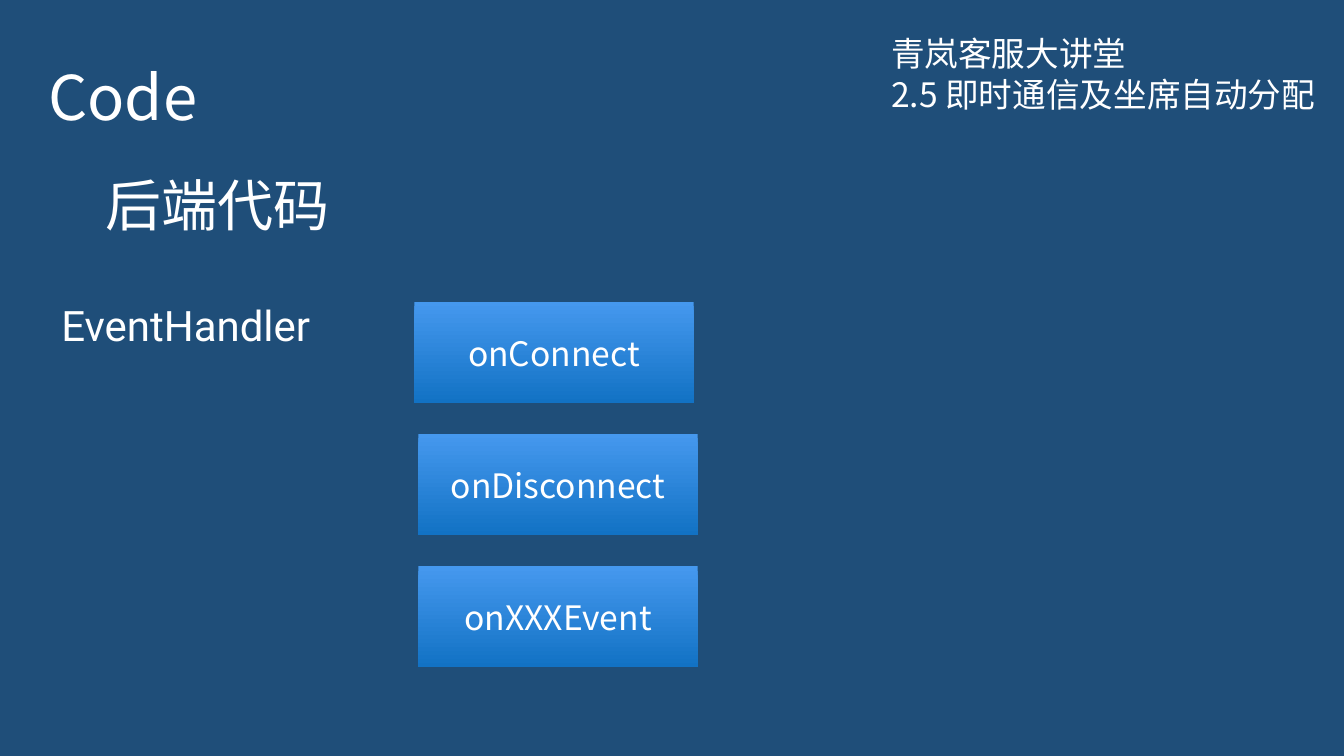
from pptx import Presentation
from pptx.dml.color import RGBColor as RGB
from pptx.enum.shapes import MSO_SHAPE as Shape
from pptx.enum.text import MSO_ANCHOR as Anchor, MSO_AUTO_SIZE as Fit, PP_ALIGN as Align
from pptx.oxml.ns import qn
from pptx.util import Inches, Pt

SANS = "Noto Sans CJK SC"
WHITE = "FFFFFF"


def color(hue):
    return RGB.from_string(hue)


def write(shape, text, size, face=SANS, frame=None, para=None):
    """Put one styled line of text in a shape."""
    body = shape.text_frame
    for key, val in {"word_wrap": True, **(frame or {})}.items():
        setattr(body, key, val)
    line = body.paragraphs[0]
    for key, val in (para or {}).items():
        setattr(line, key, val)
    run = line.add_run()
    run.text = text
    for key, val in {"size": Pt(size), "name": face}.items():
        setattr(run.font, key, val)
    run.font.color.rgb = color(WHITE)
    # East Asian glyphs use the same face
    props = run.font._element
    props.append(props.makeelement(qn("a:ea"), {"typeface": face}))


def label(slide, box, text, size, **style):
    area = slide.shapes.add_textbox(*map(Inches, box))
    write(area, text, size, **style)


def header(slide, left, top):
    """Course name and lesson in the top right corner, each on one line."""
    lines = (("青岚客服大讲堂", 2.56), ("2.5 即时通信及坐席自动分配", 4.48))
    for row, (text, width) in enumerate(lines):
        label(slide, (left, top + 0.4 * row, width, 0.5), text, 24,
              frame={"word_wrap": False, "auto_size": Fit.SHAPE_TO_FIT_TEXT})


def titles(slide, left, top):
    """Title, subtitle and the name of the handler."""
    middle = {"vertical_anchor": Anchor.MIDDLE}
    sides = ("left", "top", "right", "bottom")
    inset = {f"margin_{side}": Inches(0.05) for side in sides}
    label(slide, (left, top, 7.2, 1.45), "Code", 44,
          frame=middle, para={"line_spacing": 0.9})
    label(slide, (left + 0.62, top + 1.04, 4.49, 1.11), "后端代码", 40,
          frame={**inset, "auto_size": Fit.SHAPE_TO_FIT_TEXT},
          para={"line_spacing": 1.5})
    label(slide, (left + 0.13, top + 1.6, 11.76, 2.46), "EventHandler", 30,
          face="Roboto", frame=middle, para={"line_spacing": 1.5})


def card(slide, box, text):
    """Gradient block holding the name of one event."""
    block = slide.shapes.add_shape(Shape.RECTANGLE, *map(Inches, box))
    block.shadow.inherit = False
    block.line.fill.background()
    block.fill.gradient()
    block.fill.gradient_angle = 270
    for stop, hue, place in zip(block.fill.gradient_stops, ("4598EE", "1272C4"), (0, 1)):
        stop.color.rgb = color(hue)
        stop.position = place
    write(block, text, 24, frame={"vertical_anchor": Anchor.MIDDLE},
          para={"alignment": Align.CENTER})


def events(slide, left, top, step):
    """Column of events; the first sits slightly to the left."""
    names = (("onConnect", -0.04), ("onDisconnect", 0), ("onXXXEvent", 0))
    for row, (name, shift) in enumerate(names):
        card(slide, (left + shift, top + step * row, 2.77, 1), name)


def main():
    deck = Presentation()
    deck.slide_width, deck.slide_height = Inches(13.33), Inches(7.5)
    slide = deck.slides.add_slide(deck.slide_layouts[6])
    back = slide.background.fill
    back.solid()
    back.fore_color.rgb = color("1F4E79")
    titles(slide, 0.38, 0.27)
    header(slide, 8.74, 0.28)
    events(slide, 4.15, 3, 1.31)
    deck.save("out.pptx")


if __name__ == "__main__":
    main()
